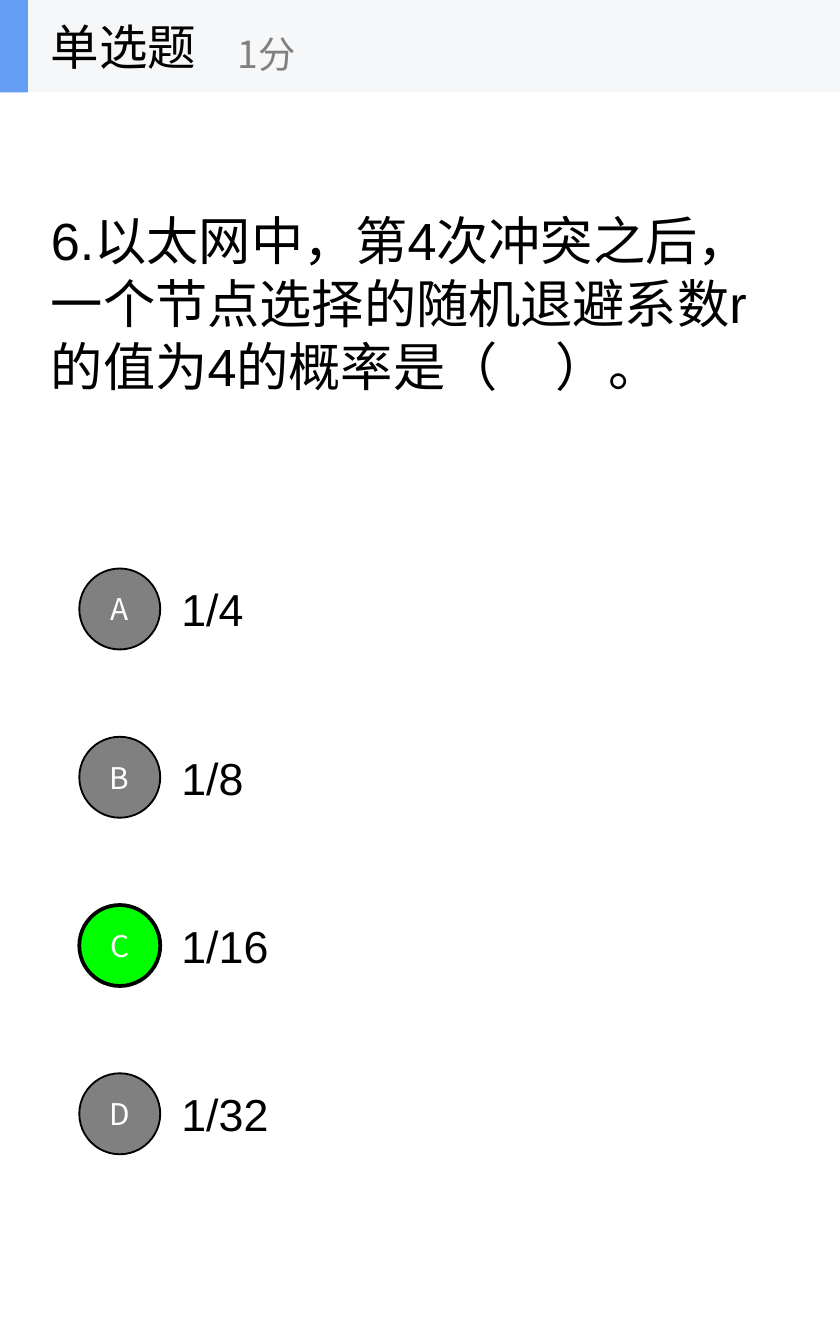
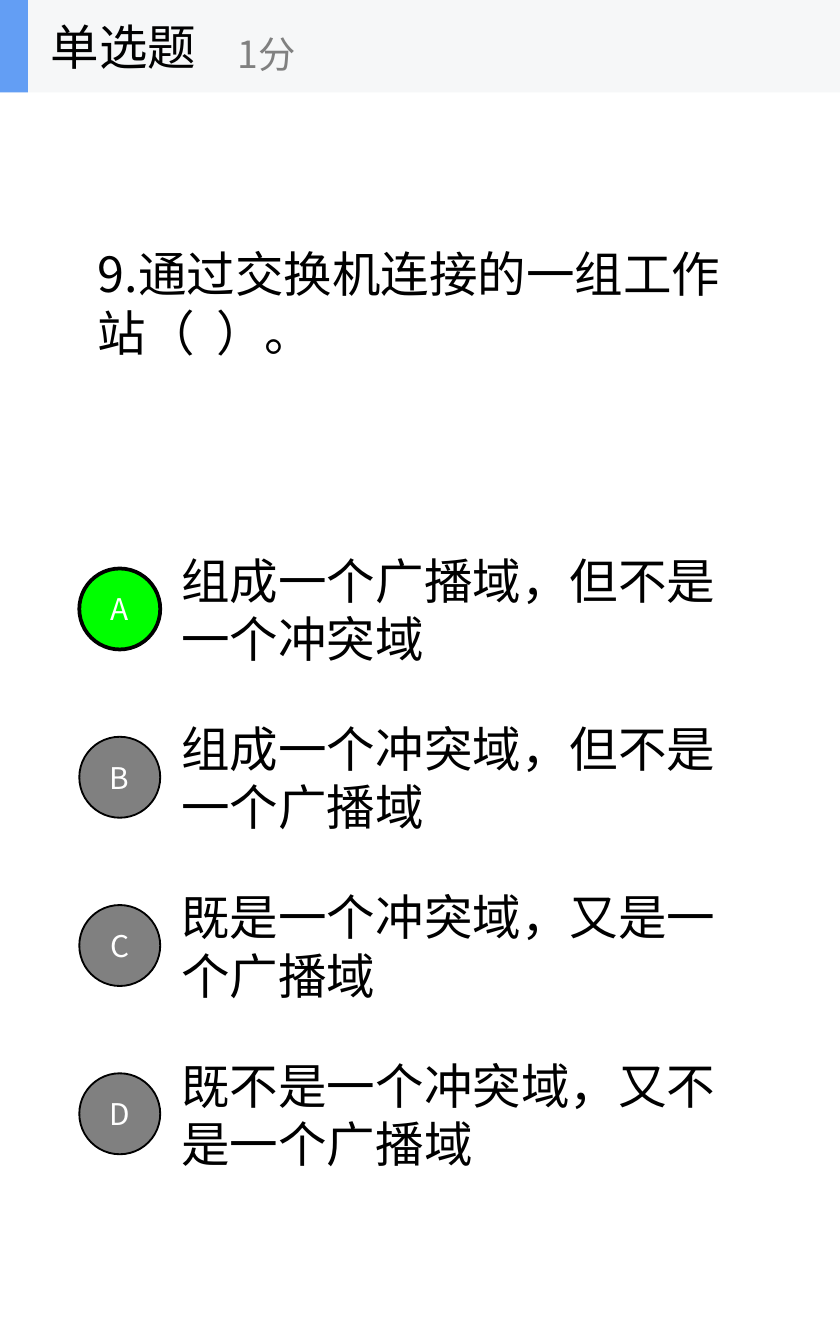
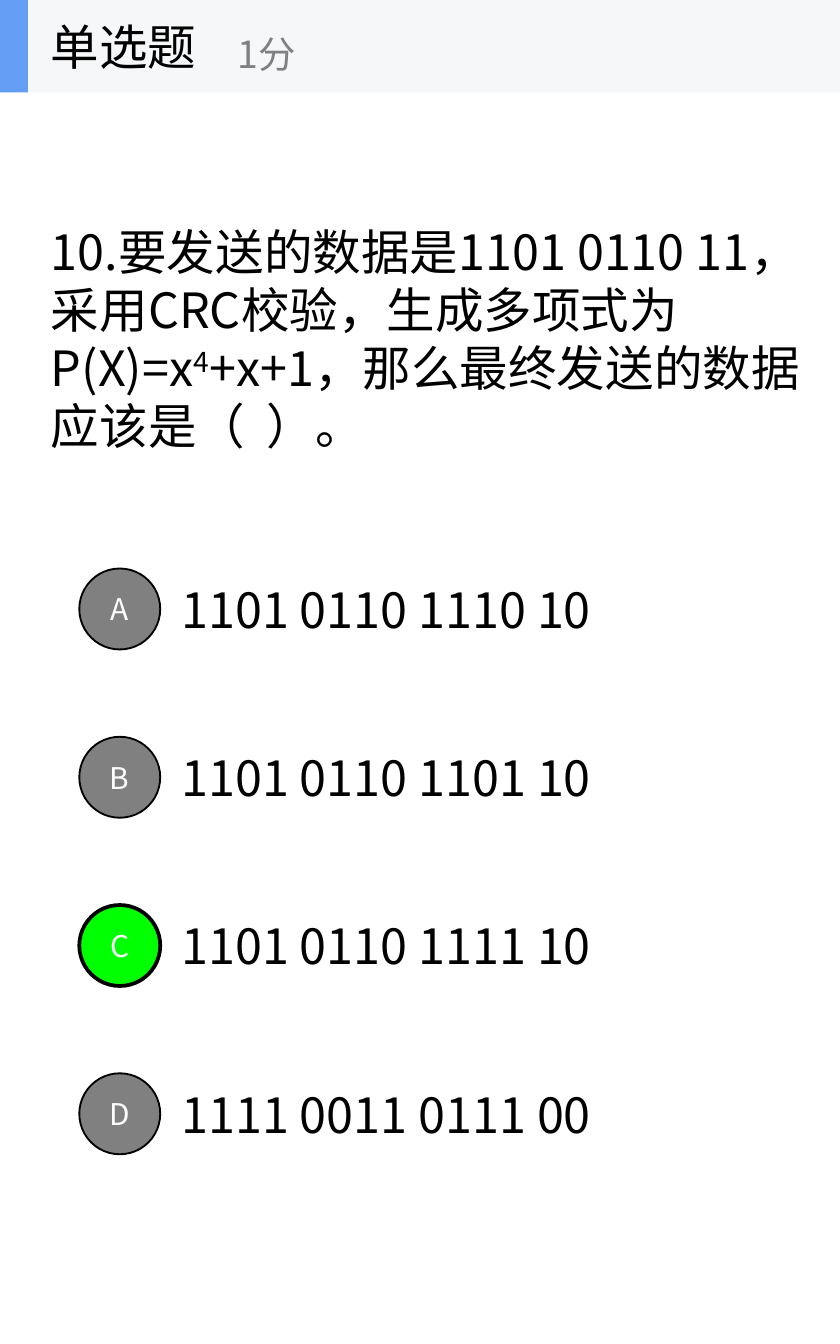
import pptx
import pptx.dml.color
import pptx.enum.shapes
import pptx.enum.text
import pptx.oxml
import pptx.oxml.ns
import pptx.util
from dataclasses import dataclass

Cm = pptx.util.Cm
Pt = pptx.util.Pt
Shape = pptx.enum.shapes.MSO_SHAPE
Align = pptx.enum.text.PP_ALIGN


@dataclass(frozen=True)
class Theme:
    ink: str = "000000"
    white: str = "FFFFFF"
    muted: str = "808080"
    correct: str = "00FF00"
    band: str = "F6F7F8"
    accent: str = "639EF4"
    cjk: str = "Noto Sans CJK SC"
    latin: str = "Arial"
    body_size: int = 26
    points_size: int = 20
    letter_size: int = 16


theme = Theme()


def write(shape, text, size, color=theme.ink, font=theme.cjk, align=Align.LEFT, wrap=True):
    """Fill a shape with one styled paragraph; parts between ^ marks are superscript."""
    frame = shape.text_frame
    frame.auto_size = pptx.enum.text.MSO_AUTO_SIZE.NONE
    frame.word_wrap = wrap
    frame.vertical_anchor = pptx.enum.text.MSO_ANCHOR.MIDDLE
    paragraph = frame.paragraphs[0]
    parts = text.split("^")
    paragraph.text = parts[0]
    for part in parts[1:]:
        paragraph.add_run().text = part
    paragraph.alignment = align
    for index, run in enumerate(paragraph.runs):
        run.font.size = Pt(size)
        run.font.name = font
        run.font.color.rgb = pptx.dml.color.RGBColor.from_string(color)
        properties = run.font._element
        east_asian = pptx.oxml.parse_xml(
            f'<a:ea {pptx.oxml.ns.nsdecls("a")} typeface="{theme.cjk}"/>')
        properties.find(pptx.oxml.ns.qn("a:latin")).addnext(east_asian)
        if index % 2:
            properties.set("baseline", "30000")


def add_filled(shapes, kind, left, top, width, height, color):
    shape = shapes.add_shape(kind, Cm(left), Cm(top), Cm(width), Cm(height))
    shape.shadow.inherit = False
    shape.fill.solid()
    shape.fill.fore_color.rgb = pptx.dml.color.RGBColor.from_string(color)
    shape.line.fill.background()
    return shape


# Question, its box (left, top, width), fonts and sizes, answers, correct letter
quiz = [
    ("6.以太网中，第4次冲突之后，一个节点选择的随机退避系数r的值为4的概率是（     ）。",
     (0.71, 1.75, 14.22), theme.latin, 28, 24,
     ["1/4", "1/8", "1/16", "1/32"], "C"),
    ("9.通过交换机连接的一组工作站（  ）。",
     (1.59, 1.75, 12.7), theme.cjk, theme.body_size, theme.body_size,
     ["组成一个广播域，但不是一个冲突域", "组成一个冲突域，但不是一个广播域",
      "既是一个冲突域，又是一个广播域", "既不是一个冲突域，又不是一个广播域"], "A"),
    ("10.要发送的数据是1101 0110 11，采用CRC校验，生成多项式为P(X)=x^4^+x+1，"
     "那么最终发送的数据应该是（  ）。",
     (0.71, 2.42, 14.81), theme.cjk, theme.body_size, theme.body_size,
     ["1101 0110 1110 10", "1101 0110 1101 10",
      "1101 0110 1111 10", "1111 0011 0111 00"], "C"),
]

page_width = 15.88
band_height = 1.75
question_height = 7.94
first_answer_top = 10.32
answer_pitch = 3.18
answer_height = 2.38
badge_size = 1.53

prs = pptx.Presentation()
prs.slide_width = Cm(page_width)
prs.slide_height = Cm(25.4)
title_only = prs.slide_layouts[5]

for question, (left, top, width), font, question_size, answer_size, answers, correct in quiz:
    slide = prs.slides.add_slide(title_only)
    title = slide.shapes.title
    title.left, title.top = Cm(left), Cm(top)
    title.width, title.height = Cm(width), Cm(question_height)
    write(title, question, question_size, font=font)

    for row, (letter, answer) in enumerate(zip("ABCD", answers)):
        answer_top = first_answer_top + row * answer_pitch
        answer_box = slide.shapes.add_textbox(
            Cm(3.18), Cm(answer_top), Cm(11.11), Cm(answer_height))
        write(answer_box, answer, answer_size, font=font)

        is_correct = letter == correct
        badge = add_filled(
            slide.shapes, Shape.OVAL, 1.5, answer_top + (answer_height - badge_size) / 2,
            badge_size, badge_size, theme.correct if is_correct else theme.muted)
        badge.line.color.rgb = pptx.dml.color.RGBColor.from_string(theme.ink)
        badge.line.width = Pt(2 if is_correct else 1)
        write(badge, letter, theme.letter_size, theme.white, align=Align.CENTER, wrap=False)

    header = slide.shapes.add_group_shape().shapes
    add_filled(header, Shape.RECTANGLE, 0, 0, page_width, band_height, theme.band)
    add_filled(header, Shape.RECTANGLE, 0, 0, 0.53, band_height, theme.accent)
    question_type = header.add_textbox(Cm(0.71), Cm(0), Cm(5.28), Cm(band_height))
    write(question_type, "单选题", theme.body_size, wrap=False)
    points = header.add_textbox(Cm(4.24), Cm(0.3), Cm(6.35), Cm(1.42))
    write(points, "1分", theme.points_size, theme.muted, wrap=False)

prs.save("out.pptx")
